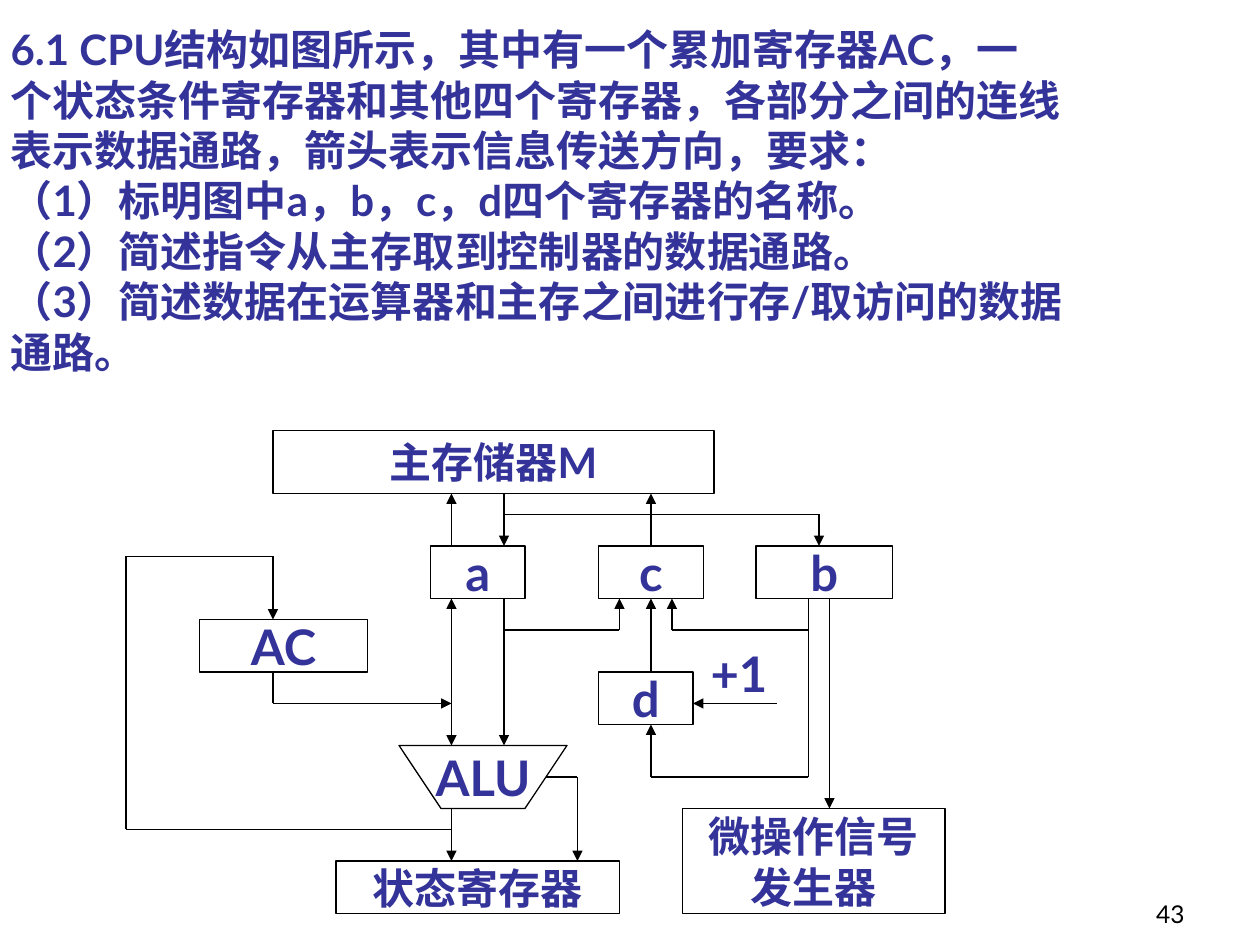
from itertools import pairwise

from lxml.etree import SubElement
from pptx import Presentation
from pptx.dml.color import RGBColor
from pptx.enum.shapes import MSO_CONNECTOR, MSO_SHAPE
from pptx.enum.text import MSO_ANCHOR as Anchor, PP_ALIGN as Align
from pptx.oxml.ns import qn
from pptx.util import Pt

COLORS = {"text": "333399", "line": "000000", "number": "000000"}
FONT = "Lato"
LINE_WIDTH = 0.75

QUESTION = [
    "6.1 CPU结构如图所示，其中有一个累加寄存器AC，一",
    "个状态条件寄存器和其他四个寄存器，各部分之间的连线",
    "表示数据通路，箭头表示信息传送方向，要求：",
    "（1）标明图中a，b，c，d四个寄存器的名称。",
    "（2）简述指令从主存取到控制器的数据通路。",
    "（3）简述数据在运算器和主存之间进行存/取访问的数据",
    "通路。",
]

# Text lines, font size, (left, top, width, height)
BLOCKS = [
    (["主存储器M"], 24, (156, 246, 252, 36)),
    (["a"], 28, (246, 312, 54, 30)),
    (["c"], 28, (342, 312, 60, 30)),
    (["b"], 28, (432, 312, 78, 30)),
    (["AC"], 28, (114, 354, 96, 30)),
    (["d"], 28, (342, 384, 54, 30)),
    (["状态寄存器"], 24, (192, 492, 162, 30)),
    (["微操作信号", "发生器"], 24, (390, 462, 150, 60)),
]

# Corner points of each data path; the last point carries an arrowhead
ARROW_PATHS = [
    [(258, 312), (258, 282)],                          # a to memory
    [(288, 282), (288, 312)],                          # memory to a
    [(288, 342), (288, 426)],                          # a to ALU
    [(372, 312), (372, 282)],                          # c to memory
    [(288, 294), (468, 294), (468, 312)],              # memory to b
    [(258, 462), (258, 492)],                          # ALU to status
    [(312, 444), (330, 444), (330, 492)],              # ALU flags to status
    [(258, 474), (72, 474), (72, 318), (156, 318), (156, 354)],  # ALU to AC
    [(156, 384), (156, 402), (258, 402)],              # AC to ALU input
    [(288, 360), (354, 360), (354, 342)],              # a to c
    [(372, 384), (372, 342)],                          # d to c
    [(462, 342), (462, 444), (372, 444), (372, 414)],  # b to d
    [(462, 360), (384, 360), (384, 342)],              # b to c
    [(444, 402), (396, 402)],                          # +1 to d
    [(474, 342), (474, 462)],                          # b to signal generator
]


def color(name):
    return RGBColor.from_string(COLORS[name])


def write_text(shape, lines, size, align=Align.LEFT, anchor=Anchor.TOP,
               wrap=False, bold=True, tint="text"):
    frame = shape.text_frame
    frame.word_wrap = wrap
    frame.vertical_anchor = anchor
    frame.text = "\n".join(lines)
    for paragraph in frame.paragraphs:
        paragraph.alignment = align
        font = paragraph.font
        font.name, font.size, font.bold = FONT, Pt(size), bold
        font.color.rgb = color(tint)


def add_label(slide, lines, size, box, **style):
    shape = slide.shapes.add_textbox(*map(Pt, box))
    write_text(shape, lines, size, **style)


def finish_block(shape, lines, size):
    shape.shadow.inherit = False
    shape.fill.background()
    shape.line.color.rgb = color("line")
    shape.line.width = Pt(LINE_WIDTH)
    write_text(shape, lines, size, Align.CENTER, Anchor.MIDDLE)


def add_block(slide, lines, size, box):
    shape = slide.shapes.add_shape(MSO_SHAPE.RECTANGLE, *map(Pt, box))
    finish_block(shape, lines, size)


def add_alu(slide):
    builder = slide.shapes.build_freeform(Pt(228), Pt(426))
    corners = [(252, 462), (300, 462), (324, 426)]
    builder.add_line_segments([(Pt(x), Pt(y)) for x, y in corners], close=True)
    finish_block(builder.convert_to_shape(), ["ALU"], 28)


def add_segment(slide, start, end, arrows=()):
    """Draw one line; arrows may hold headEnd (start) and tailEnd (end)."""
    line = slide.shapes.add_connector(
        MSO_CONNECTOR.STRAIGHT, *map(Pt, (*start, *end)))
    line.line.color.rgb = color("line")
    line.line.width = Pt(LINE_WIDTH)
    properties = line._element.spPr
    for arrow in arrows:
        SubElement(properties.find(qn("a:ln")), qn(f"a:{arrow}"), type="triangle")
    SubElement(properties, qn("a:effectLst"))


def add_arrow_path(slide, points):
    for start, end in pairwise(points):
        add_segment(slide, start, end, ["tailEnd"] if end == points[-1] else [])


def main():
    presentation = Presentation()
    presentation.slide_width, presentation.slide_height = Pt(720), Pt(540)
    slide = presentation.slides.add_slide(presentation.slide_layouts[6])

    # Page number and question
    add_label(slide, ["43"], 14, (534, 498, 150, 36), align=Align.RIGHT,
              anchor=Anchor.BOTTOM, wrap=True, bold=False, tint="number")
    add_label(slide, QUESTION, 24, (-1, 10, 636.5, 209), wrap=True)

    # Registers and units
    for lines, size, box in BLOCKS:
        add_block(slide, lines, size, box)
    add_alu(slide)

    # Data paths
    for points in ARROW_PATHS:
        add_arrow_path(slide, points)
    add_segment(slide, (258, 342), (258, 426), ["headEnd", "tailEnd"])
    add_label(slide, ["+1"], 28, (399, 364, 47.5, 41))

    presentation.save("out.pptx")


if __name__ == "__main__":
    main()
